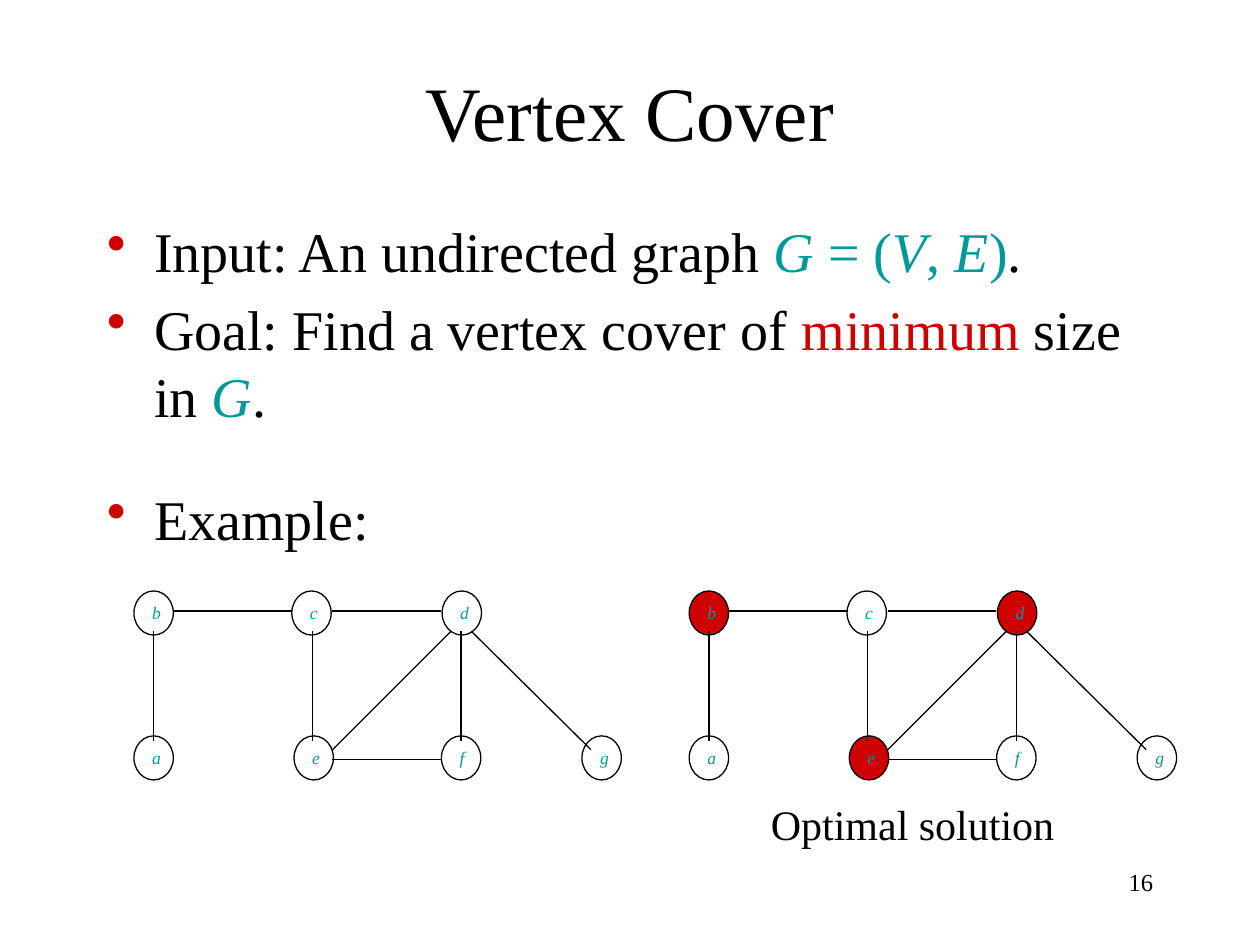
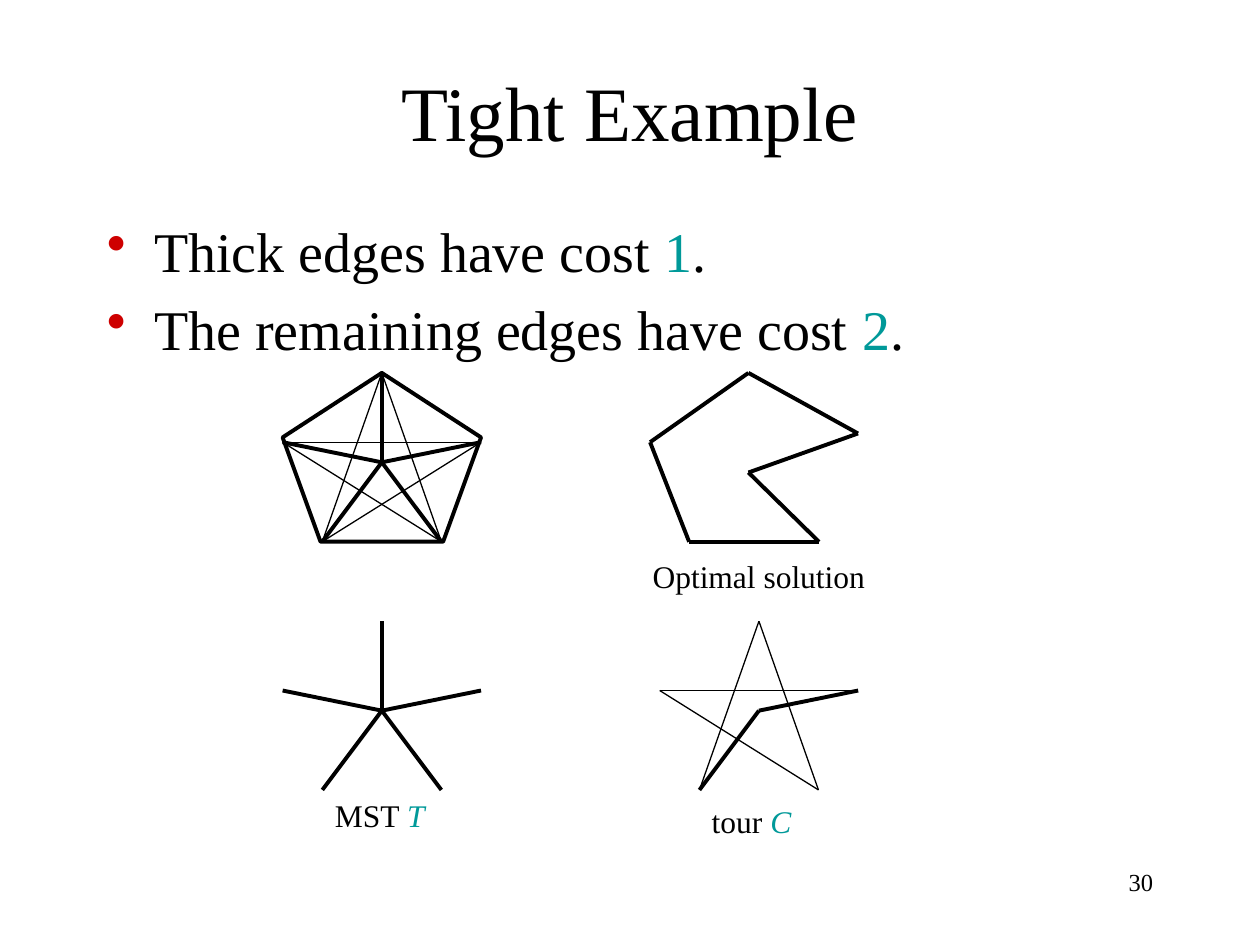
import pptx
import pptx.dml.color
import pptx.enum.shapes
import pptx.enum.text
import pptx.oxml.ns
import pptx.util
from lxml import etree

Pt = pptx.util.Pt
qn = pptx.oxml.ns.qn
SHAPE = pptx.enum.shapes.MSO_SHAPE
ALIGN = pptx.enum.text.PP_ALIGN
ANCHOR = pptx.enum.text.MSO_ANCHOR
FIT = pptx.enum.text.MSO_AUTO_SIZE

FONT = "Times New Roman"
BLACK, RED, TEAL = "000000", "CE0000", "009999"
THIN, THICK = 0.75, 2.25


def color(hex_string):
    return pptx.dml.color.RGBColor.from_string(hex_string)


def span(text, **style):
    """A piece of text with its format: color, italic."""
    return text, style


def math(text):
    return span(text, color=TEAL, italic=True)


class Deck:
    def __init__(self):
        self.deck = pptx.Presentation()
        self.deck.slide_width, self.deck.slide_height = Pt(720), Pt(540)
        self.page = None

    def add_page(self, title, number):
        self.page = self.deck.slides.add_slide(self.deck.slide_layouts[5])
        box = self.page.shapes.title
        box.left, box.top, box.width, box.height = Pt(54), Pt(18), Pt(612), Pt(90)
        box.text_frame.vertical_anchor = ANCHOR.MIDDLE
        self.fill_para(box.text_frame.paragraphs[0], [span(title)], 44, ALIGN.CENTER)
        self.label([span(number)], 516, 492, 150, 36, size=14, align=ALIGN.RIGHT, wrap=True)

    def fill_para(self, para, spans, size, align=ALIGN.LEFT):
        para.alignment = align
        for text, style in spans:
            run = para.add_run()
            run.text = text
            run.font.name, run.font.size = FONT, Pt(size)
            run.font.italic = style.get("italic", False)
            run.font.color.rgb = color(style.get("color", BLACK))

    def label(self, spans, left, top, width, height, size=18, align=ALIGN.LEFT, wrap=False):
        box = self.page.shapes.add_textbox(Pt(left), Pt(top), Pt(width), Pt(height))
        box.text_frame.word_wrap = wrap
        self.fill_para(box.text_frame.paragraphs[0], spans, size, align)

    def bullets(self, items):
        """Items are pairs of space before and spans."""
        box = self.page.shapes.add_textbox(Pt(54), Pt(120), Pt(612), Pt(360))
        frame = box.text_frame
        frame.word_wrap = True
        for index, (space, spans) in enumerate(items):
            para = frame.add_paragraph() if index else frame.paragraphs[0]
            props = para._p.get_or_add_pPr()
            props.set("marL", str(Pt(27)))
            props.set("indent", str(-Pt(27)))
            bullet_color = etree.SubElement(props, qn("a:buClr"))
            etree.SubElement(bullet_color, qn("a:srgbClr"), val=RED)
            etree.SubElement(props, qn("a:buChar"), char="•")
            para.space_before = Pt(space)
            self.fill_para(para, spans, 32)

    def shape(self, kind, left, top, width, height, weight, fill=None):
        shape = self.page.shapes.add_shape(kind, Pt(left), Pt(top), Pt(width), Pt(height))
        shape.shadow.inherit = False
        if fill:
            shape.fill.solid()
            shape.fill.fore_color.rgb = color(fill)
        else:
            shape.fill.background()
        shape.line.color.rgb = color(BLACK)
        shape.line.width = Pt(weight)
        return shape

    def node(self, name, center, top, fill=None):
        width = 22.5
        shape = self.shape(SHAPE.OVAL, center - width / 2, top, width, 25.2, THIN, fill)
        frame = shape.text_frame
        frame.word_wrap = False
        frame.auto_size = FIT.SHAPE_TO_FIT_TEXT
        frame.vertical_anchor = ANCHOR.MIDDLE
        self.fill_para(frame.paragraphs[0], [math(name)], 10, ALIGN.CENTER)

    def line(self, start, end, weight):
        line = self.page.shapes.add_connector(
            pptx.enum.shapes.MSO_CONNECTOR.STRAIGHT, *(Pt(value) for value in (*start, *end)))
        line.line.color.rgb = color(BLACK)
        line.line.width = Pt(weight)
        etree.SubElement(line._element.spPr, qn("a:effectLst"))

    def star_lines(self, hub, edges, weight):
        """Edges are pairs of corner names on the star around the hub."""
        points = {name: (hub[0] + x, hub[1] + y) for name, (x, y) in STAR.items()}
        for start, end in edges:
            self.line(points[start], points[end], weight)


# Example graph: node centers and tops, then edges as start and end points
TOP_ROW, LOW_ROW = 337.7, 420.5
NODES = {"b": (87.8, TOP_ROW), "a": (87.8, LOW_ROW), "c": (178, TOP_ROW),
         "d": (263.9, TOP_ROW), "e": (179.3, LOW_ROW), "f": (263.5, LOW_ROW),
         "g": (343.8, LOW_ROW)}
UPPER, LOWER, SLANT = 360.7, 423.4, 428.4
EDGES = [((99.2, 349.2), (167, 349.2)), ((190, 349.2), (252, 349.2)),
         ((190, 434.2), (252, 434.2)),
         *(((x, UPPER), (x, LOWER)) for x in (87.8, 178.6, 263.5)),
         ((257.8, UPPER), (190, SLANT)), ((269.3, UPPER), (337.7, SLANT))]

# Star corners relative to the hub
STAR = {"hub": (0, 0), "top": (0, -51.1), "left": (-56.7, -11.5), "right": (56.7, -11.5),
        "foot_left": (-34, 45.3), "foot_right": (34, 45.3)}
SPOKES = [("hub", corner) for corner in STAR if corner != "hub"]
TOUR_CHORDS = [("left", "right"), ("top", "foot_left"), ("top", "foot_right"),
               ("left", "foot_right")]
CHORDS = TOUR_CHORDS + [("foot_left", "right")]


def vertex_cover(show):
    show.add_page("Vertex Cover", "16")
    show.bullets([
        (0, [span("Input: An undirected graph "), math("G"), span(" = (", color=TEAL),
             math("V"), span(", ", color=TEAL), math("E"), span(")", color=TEAL), span(".")]),
        (6.4, [span("Goal: Find a vertex cover of "), span("minimum", color=RED),
               span(" size in "), math("G"), span(".")]),
        (31.5, [span("Example:")])])
    # The graph twice, the second time with its cover filled
    for shift, cover in ((0, ""), (317.3, "bde")):
        for name, (center, top) in NODES.items():
            show.node(name, center + shift, top, RED if name in cover else None)
        for (x1, y1), (x2, y2) in EDGES:
            show.line((x1 + shift, y1), (x2 + shift, y2), THIN)
    show.label([span("Optimal solution")], 433.4, 452.9, 176.4, 36, size=24)


def tight_example(show):
    show.add_page("Tight Example", "30")
    show.bullets([
        (0, [span("Thick edges have cost "), span("1", color=TEAL), span(".")]),
        (6.4, [span("The remaining edges have cost "), span("2", color=TEAL), span(".")])])
    # Whole graph
    show.shape(SHAPE.REGULAR_PENTAGON, 161.5, 213.1, 113.4, 96.5, THICK)
    graph_hub = (218.2, 264.2)
    show.star_lines(graph_hub, SPOKES, THICK)
    show.star_lines(graph_hub, CHORDS, THIN)
    # Optimal tour
    corners = [(427.7, 213.1), (371.5, 252.7), (393.8, 309.6), (468, 309.6),
               (427.7, 270), (490.3, 247.7)]
    for start, end in zip(corners, corners[1:] + corners[:1]):
        show.line(start, end, THICK)
    show.label([span("Optimal solution")], 365.8, 314.6, 136.1, 28.8)
    # Minimum spanning tree
    show.star_lines((218.2, 406.1), SPOKES, THICK)
    show.label([span("MST "), math("T")], 184.3, 451.4, 70.6, 28.8)
    # Tour found
    tour_hub = (433.7, 406.1)
    show.star_lines(tour_hub, [("hub", "right"), ("hub", "foot_left")], THICK)
    show.star_lines(tour_hub, TOUR_CHORDS, THIN)
    show.label([span("tour "), math("C")], 399.6, 455, 59.8, 28.8)


def main():
    show = Deck()
    vertex_cover(show)
    tight_example(show)
    show.deck.save("out.pptx")


if __name__ == "__main__":
    main()
